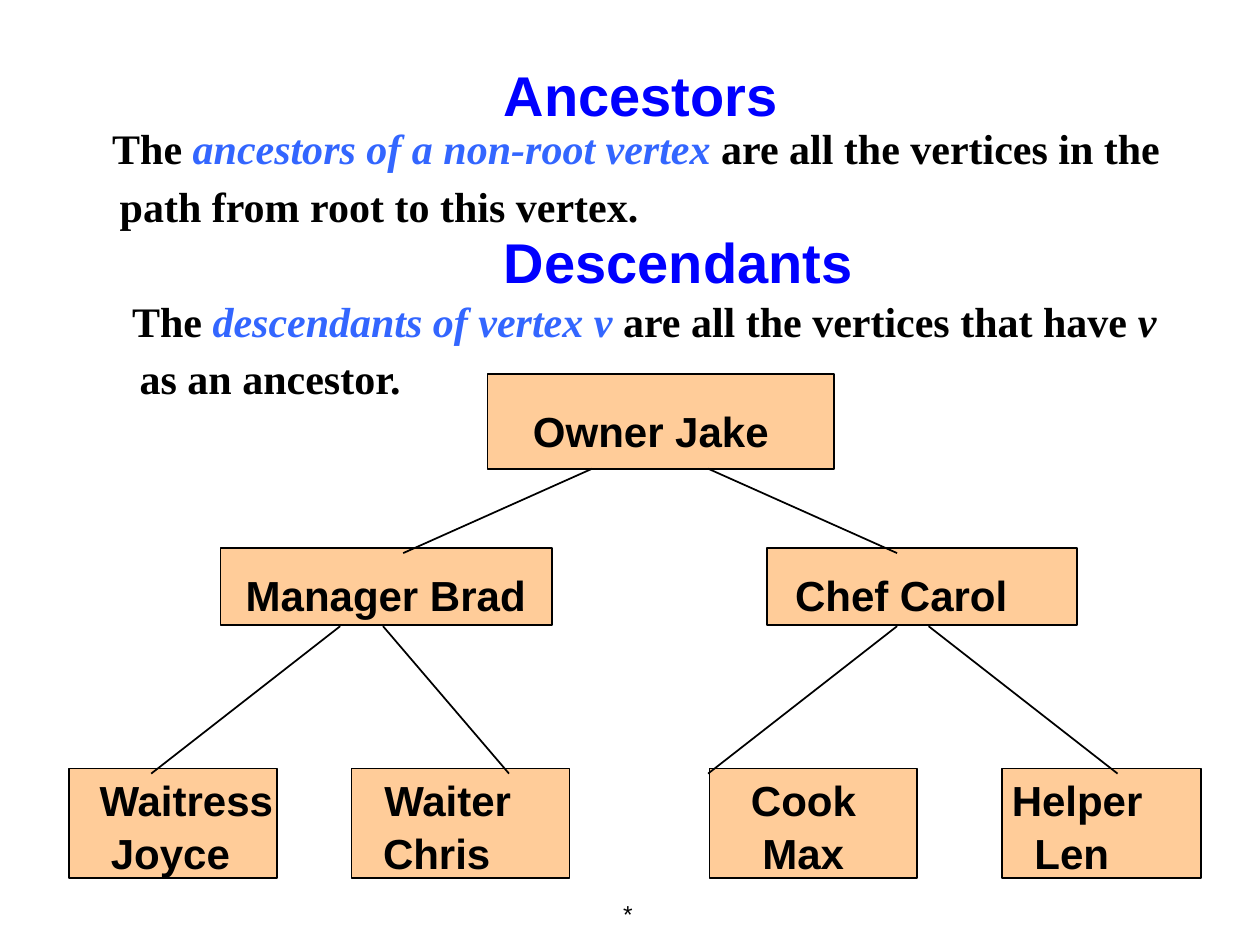
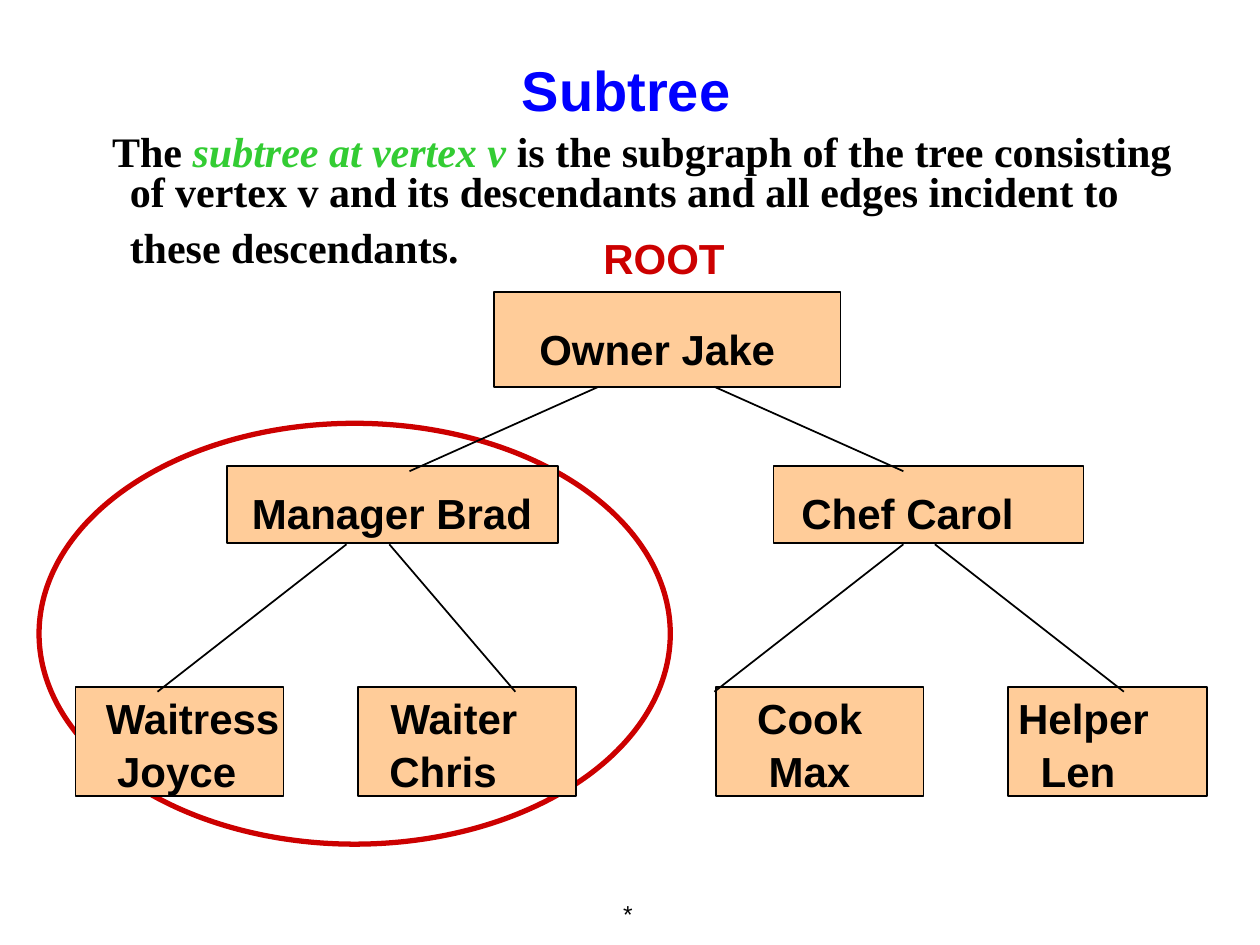
from lxml import etree
from pptx import Presentation
from pptx.dml.color import RGBColor
from pptx.enum.shapes import MSO_CONNECTOR, MSO_SHAPE
from pptx.enum.text import MSO_ANCHOR, MSO_AUTO_SIZE, PP_ALIGN
from pptx.oxml.ns import qn
from pptx.util import Inches, Pt

LEFT, CENTER, RIGHT = PP_ALIGN.LEFT, PP_ALIGN.CENTER, PP_ALIGN.RIGHT
TOP, MIDDLE, BOTTOM = MSO_ANCHOR.TOP, MSO_ANCHOR.MIDDLE, MSO_ANCHOR.BOTTOM
NO_FIT = MSO_AUTO_SIZE.NONE
RECTANGLE, OVAL = MSO_SHAPE.RECTANGLE, MSO_SHAPE.OVAL
STRAIGHT = MSO_CONNECTOR.STRAIGHT

BLACK = RGBColor(0x00, 0x00, 0x00)
HEADING_BLUE = RGBColor(0x00, 0x00, 0xFF)
TERM_BLUE = RGBColor(0x33, 0x66, 0xFF)
TERM_GREEN = RGBColor(0x33, 0xCC, 0x33)
PEACH = RGBColor(0xFF, 0xCC, 0x99)
RED = RGBColor(0xCC, 0x00, 0x00)
SANS, SERIF = "Arial", "Times New Roman"


def write_text(shape, paragraphs, font=SANS, size=24, color=BLACK, bold=True,
               align=LEFT, anchor=TOP, insets=(0.1, 0.05, 0.1, 0.05),
               margins=(0, 0), indent=0, spacing=1.0, gap=0):
    frame = shape.text_frame
    frame.word_wrap = True
    frame.auto_size = NO_FIT
    frame.vertical_anchor = anchor
    frame.margin_left, frame.margin_top, frame.margin_right, frame.margin_bottom = map(Inches, insets)
    for index, runs in enumerate(paragraphs):
        paragraph = frame.paragraphs[0] if index == 0 else frame.add_paragraph()
        paragraph.alignment = align
        paragraph.line_spacing = spacing
        paragraph.space_before = Pt(gap if index else 0)
        properties = paragraph._p.get_or_add_pPr()
        properties.set("marL", str(Inches(margins[index])))
        properties.set("indent", str(Inches(indent)))
        etree.SubElement(properties, qn("a:buNone"))
        for words, style in runs:
            run = paragraph.add_run()
            run.text = words
            run.font.name = style.get("font", font)
            run.font.size = Pt(style.get("size", size))
            run.font.color.rgb = style.get("color", color)
            run.font.italic = style.get("italic", False)
            run.font.bold = bold


def place(shape, left, top, width, height):
    shape.left, shape.top, shape.width, shape.height = map(Inches, (left, top, width, height))
    return shape


HEADING = dict(size=32, color=HEADING_BLUE, align=CENTER)
DEFINITION = dict(font=SERIF, margins=[0.38])
BLUE_TERM = dict(color=TERM_BLUE, italic=True)
GREEN_TERM = dict(color=TERM_GREEN, italic=True)

presentation = Presentation()
presentation.slide_width, presentation.slide_height = Inches(10), Inches(7.5)
title_and_body = presentation.slide_layouts[1]
family = presentation.slides.add_slide(title_and_body)
subtree = presentation.slides.add_slide(title_and_body)

write_text(place(family.shapes.title, 0.47, 0.39, 9.23, 0.67),
           [[("Ancestors", {})]], anchor=BOTTOM, **HEADING)
write_text(place(family.placeholders[1], 0.47, 0.97, 9, 1.29),
           [[("The ", {}), ("ancestors of a non-root vertex ", BLUE_TERM),
             ("are all the vertices in the path from root to this vertex.", {}),
             (" ", dict(font=SANS, size=32))]],
           indent=-0.06, spacing=0.9, **DEFINITION)

descendants_heading = family.shapes.add_textbox(Inches(0.77), Inches(1.72), Inches(9.23), Inches(0.67))
write_text(descendants_heading, [[("Descendants", {})]], anchor=BOTTOM, **HEADING)
descendants_meaning = family.shapes.add_textbox(Inches(0.63), Inches(2.34), Inches(9), Inches(1.06))
write_text(descendants_meaning,
           [[("The ", {}), ("descendants of vertex v ", BLUE_TERM),
             ("are all the vertices that have ", {}), ("v", dict(italic=True)),
             (" as an ancestor.", {}), (" ", dict(font=SANS, size=32))]],
           indent=-0.06, spacing=0.9, **DEFINITION)

write_text(place(subtree.shapes.title, 0.47, 0.39, 9, 0.77), [[("Subtree", {})]], **HEADING)
write_text(place(subtree.placeholders[1], 0.55, 1.02, 9, 1.34),
           [[("The ", {}), ("subtree at vertex v ", GREEN_TERM),
             ("is the subgraph of the tree consisting of vertex v and its descendants "
              "and all edges incident to these descendants.", {}),
             (" ", dict(font=SANS, size=36))]],
           indent=-0.14, spacing=0.8, **DEFINITION)

subtree_ring = subtree.shapes.add_shape(OVAL, Inches(0.31), Inches(3.36), Inches(5.01), Inches(3.34))
subtree_ring.shadow.inherit = False
subtree_ring.fill.background()
subtree_ring.line.color.rgb = RED
subtree_ring.line.width = Pt(3)

root_label = subtree.shapes.add_textbox(Inches(4.69), Inches(1.8), Inches(1.3), Inches(0.5))
write_text(root_label, [[("ROOT", {})]], color=RED)

OWNER_ROW, MANAGER_ROW, STAFF_ROW = (2.97, 0.75, 0.25), (4.35, 0.61, 0.17), (6.1, 0.87, 0.05)
PEOPLE = [
    (OWNER_ROW, 3.87, 2.75, ["Owner Jake"], [0.36]),
    (MANAGER_ROW, 1.75, 2.63, ["Manager Brad"], [0.2]),
    (MANAGER_ROW, 6.09, 2.46, ["Chef Carol"], [0.22]),
    (STAFF_ROW, 0.55, 1.65, ["Waitress", "Joyce"], [0.24, 0.33]),
    (STAFF_ROW, 2.79, 1.73, ["Waiter", "Chris"], [0.26, 0.25]),
    (STAFF_ROW, 5.63, 1.65, ["Cook", "Max"], [0.33, 0.42]),
    (STAFF_ROW, 7.95, 1.58, ["Helper", "Len"], [0.08, 0.26]),
]
OWNER_EDGES, MANAGER_EDGES = (3.72, 4.39), (4.97, 6.14)
EDGES = [
    (OWNER_EDGES, 4.7, 3.2), (OWNER_EDGES, 5.62, 7.12),
    (MANAGER_EDGES, 2.7, 1.2), (MANAGER_EDGES, 3.04, 4.04),
    (MANAGER_EDGES, 7.12, 5.62), (MANAGER_EDGES, 7.37, 8.87),
]

for slide, shift_x, shift_y in ((family, 0, 0), (subtree, 0.05, -0.65)):
    for (top, height, text_top), left, width, lines, margins in PEOPLE:
        person = slide.shapes.add_shape(RECTANGLE, Inches(left + shift_x), Inches(top + shift_y),
                                        Inches(width), Inches(height))
        person.shadow.inherit = False
        person.fill.solid()
        person.fill.fore_color.rgb = PEACH
        person.line.color.rgb = BLACK
        person.line.width = Pt(1)
        write_text(person, [[(line, {})] for line in lines], margins=margins,
                   insets=(0, text_top, 0, 0), gap=1.2)

    for (start_y, end_y), start_x, end_x in EDGES:
        edge = slide.shapes.add_connector(STRAIGHT, Inches(start_x + shift_x), Inches(start_y + shift_y),
                                          Inches(end_x + shift_x), Inches(end_y + shift_y))
        edge.line.color.rgb = BLACK
        edge.line.width = Pt(1)
        etree.SubElement(edge._element.spPr, qn("a:effectLst"))

    footer = slide.shapes.add_textbox(Inches(4.45), Inches(7), Inches(0.67), Inches(0.5))
    write_text(footer, [[("*", {})]], size=14, bold=False, align=RIGHT, anchor=MIDDLE)

presentation.save("out.pptx")
